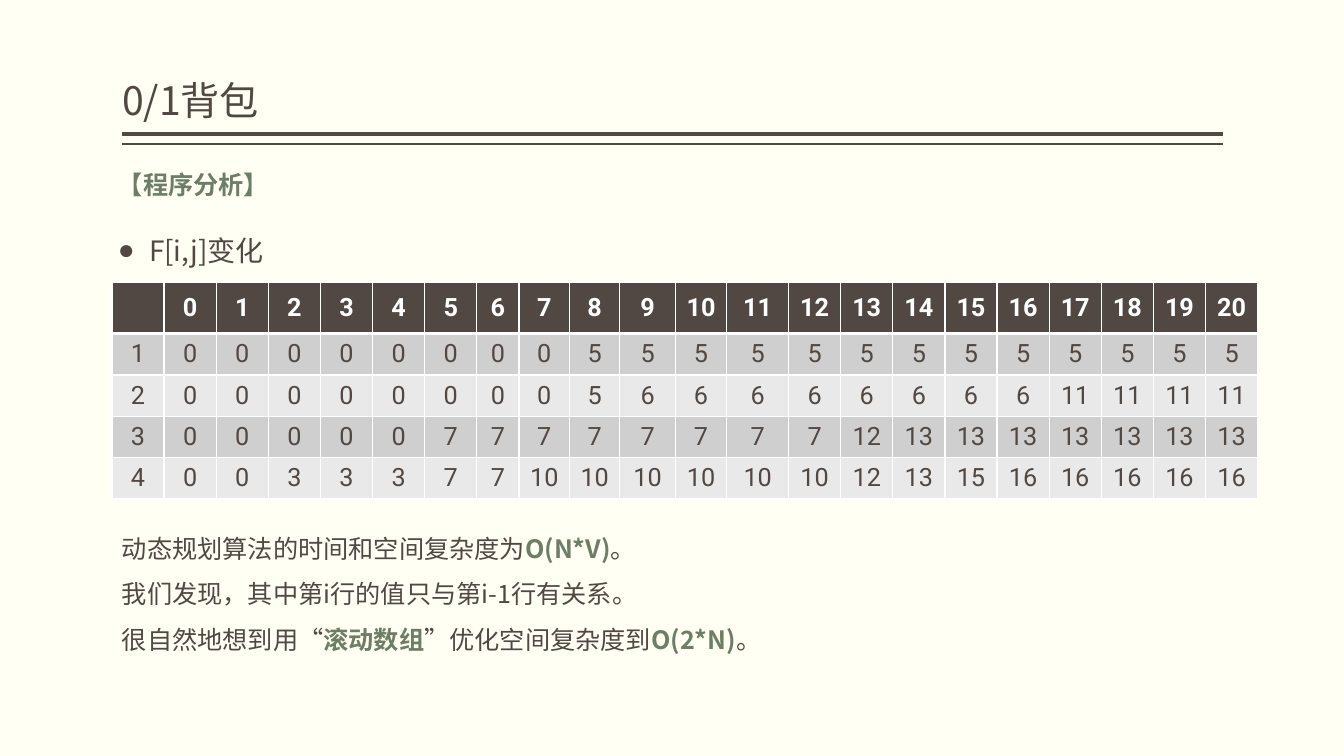
from pptx import Presentation
from pptx.dml.color import RGBColor
from pptx.enum.text import MSO_ANCHOR, MSO_AUTO_SIZE, PP_ALIGN
from pptx.oxml.ns import qn
from pptx.util import Inches, Pt
from lxml.etree import SubElement

WIDE, HIGH = Inches(13.33), Inches(7.5)
FONT, DIGIT = "Noto Sans CJK SC", "Roboto"
HUE = {"page": "FFFFF3", "ink": "514843", "green": "6D7D66",
       "white": "FFFFFF", "dark": "D0CFCF", "light": "E9E9E9"}

# Knapsack items as (weight, value), and the largest capacity
ITEMS = [(8, 5), (9, 6), (5, 7), (2, 3)]
LIMIT = 20

# Column widths in percent of the slide; the rest share one width
COL = 3.88
ODD = {7: 3.15, 8: 3.75, 9: 3.75, 10: 4.13, 11: 3.83, 12: 4.6}
HEAD, ROW = 6.8, 5.47


def across(part):
    return round(WIDE * part / 100)


def down(part):
    return round(HIGH * part / 100)


def color(name):
    return RGBColor.from_string(HUE[name])


def write(para, text, size=18, hue="ink", bold=False, face=FONT):
    run = para.add_run()
    run.text = text
    font = run.font
    font.size, font.bold, font.name = Pt(size), bold, face
    font.color.rgb = color(hue)
    SubElement(font._element, qn("a:ea")).set("typeface", face)


def add_box(slide, left, top, width, height):
    box = slide.shapes.add_textbox(across(left), down(top),
                                   across(width), down(height))
    frame = box.text_frame
    frame.word_wrap = True
    return frame


def add_rule(slide, top, weight):
    line = slide.shapes.add_connector(1, across(91), down(top),
                                      across(9.08), down(top))
    line.line.color.rgb = color("ink")
    line.line.width = Pt(weight)
    SubElement(line._element.spPr, qn("a:effectLst"))


def add_dot(para):
    props = para._p.get_or_add_pPr()
    props.set("marL", str(Inches(0.31)))
    props.set("indent", str(-Inches(0.31)))
    SubElement(props, qn("a:buFont")).set("typeface", "Arial")
    SubElement(props, qn("a:buChar")).set("char", "●")


def solve():
    """Best value for every item count and capacity."""
    best, rows = [0] * (LIMIT + 1), []
    for weight, value in ITEMS:
        best = [max(old, best[j - weight] + value) if j >= weight else old
                for j, old in enumerate(best)]
        rows.append(best)
    return rows


def set_edges(cell, base):
    props = cell._tc.get_or_add_tcPr()
    for at, (side, weight) in enumerate(
            [("lnL", 1), ("lnR", 1), ("lnT", 1), ("lnB", base)]):
        edge = props.makeelement(qn("a:" + side), {"w": str(Pt(weight))})
        fill = SubElement(edge, qn("a:solidFill"))
        SubElement(fill, qn("a:srgbClr")).set("val", HUE["white"])
        props.insert(at, edge)


def add_grid(slide, rows):
    wide = [ODD.get(i, COL) for i in range(LIMIT + 2)]
    tall = [HEAD] + [ROW] * len(ITEMS)
    table = slide.shapes.add_table(
        len(tall), len(wide), across(8.33), down(37.33),
        across(sum(wide)), down(sum(tall))).table
    for col, part in zip(table.columns, wide):
        col.width = across(part)
    for r, (row, part) in enumerate(zip(table.rows, tall)):
        row.height = down(part)
        back = "ink" if r == 0 else ("light", "dark")[r % 2]
        for cell, text in zip(row.cells, rows[r]):
            cell.fill.solid()
            cell.fill.fore_color.rgb = color(back)
            cell.vertical_anchor = MSO_ANCHOR.MIDDLE
            cell.margin_left = cell.margin_right = Inches(0.05)
            set_edges(cell, 1 if r else 3)
            para = cell.text_frame.paragraphs[0]
            para.alignment = PP_ALIGN.CENTER
            if text != "":
                write(para, str(text), face=DIGIT, bold=r == 0,
                      hue="ink" if r else "white")


def main():
    deck = Presentation()
    deck.slide_width, deck.slide_height = WIDE, HIGH
    slide = deck.slides.add_slide(deck.slide_layouts[6])
    slide.background.fill.solid()
    slide.background.fill.fore_color.rgb = color("page")

    # Title over a double rule
    add_rule(slide, 17.73, 3)
    add_rule(slide, 19.07, 1)
    title = add_box(slide, 9.08, 1.07, 81.92, 16)
    title.margin_left = title.margin_right = 0
    title.vertical_anchor = MSO_ANCHOR.BOTTOM
    title.paragraphs[0].line_spacing = 0.9
    write(title.paragraphs[0], "0/1背包", size=28)

    # Section heading and bullet
    intro = add_box(slide, 8.03, 21.73, 84.02, 21.2)
    write(intro.paragraphs[0], "【程序分析】", hue="green", bold=True)
    para = intro.add_paragraph()
    para.line_spacing = 2
    add_dot(para)
    write(para, "F[i,j]变化", size=20)

    # Table of best values
    rows = [[""] + list(range(LIMIT + 1))]
    rows += [[i] + best for i, best in enumerate(solve(), 1)]
    add_grid(slide, rows)

    # Closing remarks: every second piece is stressed
    notes = add_box(slide, 8.33, 67.87, 71.94, 23.6)
    notes.auto_size = MSO_AUTO_SIZE.SHAPE_TO_FIT_TEXT
    lines = [["动态规划算法的时间和空间复杂度为", "O(N*V)", "。"],
             ["我们发现，其中第i行的值只与第i-1行有关系。"],
             ["很自然地想到用“", "滚动数组", "”优化空间复杂度到", "O(2*N)", "。"]]
    for i, parts in enumerate(lines):
        para = notes.add_paragraph() if i else notes.paragraphs[0]
        para.line_spacing = 1.5
        for j, text in enumerate(parts):
            stress = j % 2 == 1
            write(para, text, bold=stress, hue="green" if stress else "ink")

    deck.save("out.pptx")


if __name__ == "__main__":
    main()
